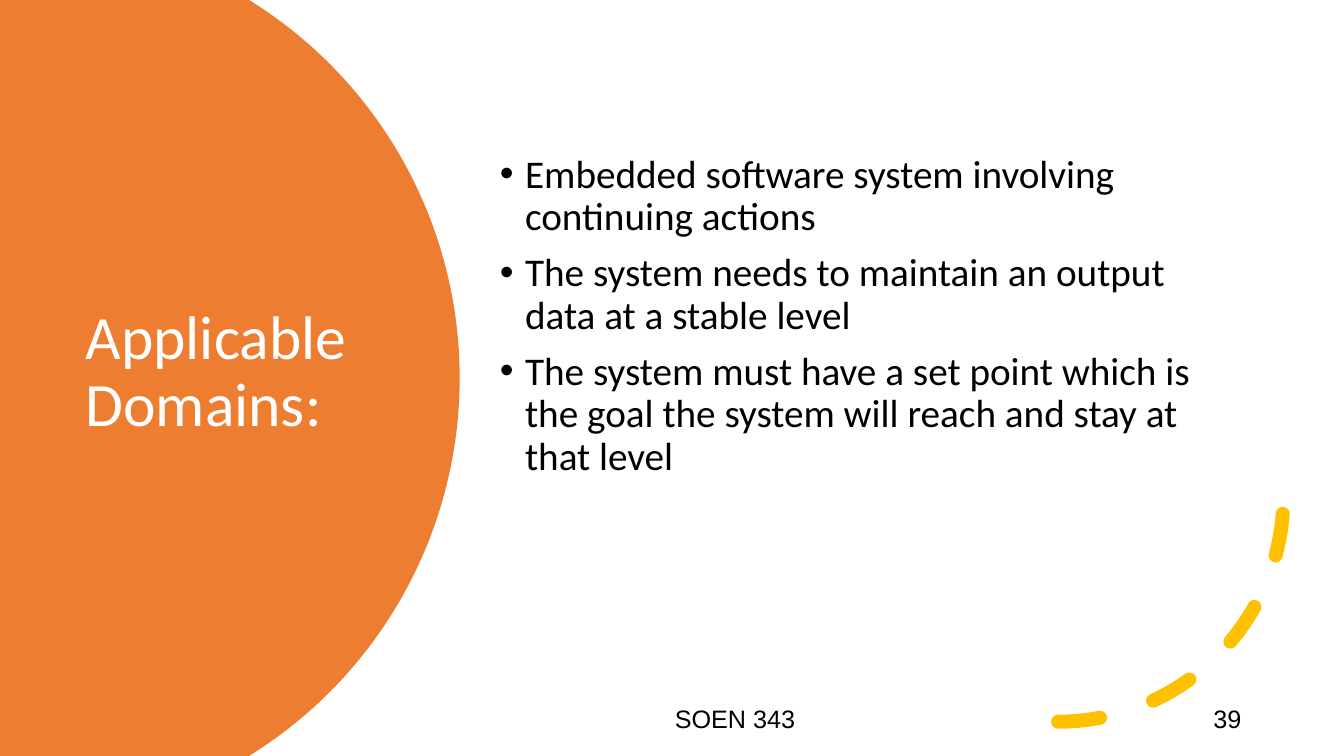
import math
import pptx
import pptx.util
import pptx.dml.color
import pptx.enum.dml
import pptx.enum.shapes
import pptx.enum.text
from lxml import etree

Inches, Pt = pptx.util.Inches, pptx.util.Pt
RGBColor = pptx.dml.color.RGBColor
ALIGN = pptx.enum.text.PP_ALIGN

# Content
TITLE = "Applicable Domains:"
POINTS = [
    "Embedded software system involving continuing actions",
    "The system needs to maintain an output data at a stable level",
    "The system must have a set point which is the goal the system "
    "will reach and stay at that level",
]
FOOTER = "SOEN 343"
NUMBER = "39"

# Style and measures
ORANGE = RGBColor(0xED, 0x7D, 0x31)
GOLD = RGBColor(0xFF, 0xC0, 0x00)
WHITE = RGBColor(0xFF, 0xFF, 0xFF)
BLACK = RGBColor(0, 0, 0)
WIDE, HIGH = 13.33, 7.5
CENTER, RADIUS, STEPS = 0.15, 4.41, 90
FOOT, FOOT_H = 6.95, 0.4

deck = pptx.Presentation()
deck.slide_width, deck.slide_height = Inches(WIDE), Inches(HIGH)
slide = deck.slides.add_slide(deck.slide_layouts[6])
shapes = slide.shapes


def add_text(box, lines, size, color, font="Calibri", align=ALIGN.LEFT):
    frame = shapes.add_textbox(*map(Inches, box)).text_frame
    frame.word_wrap = True
    frame.vertical_anchor = pptx.enum.text.MSO_ANCHOR.MIDDLE
    frame.text = "\n".join(lines)
    for para in frame.paragraphs:
        para.alignment = align
        para.line_spacing = 0.9
        for run in para.runs:
            run.font.name = font
            run.font.size = Pt(size)
            run.font.color.rgb = color
    return frame


def add_bullet(para):
    props = para._p.get_or_add_pPr()
    props.set("marL", str(Inches(0.25)))
    props.set("indent", str(Inches(-0.25)))
    for tag, key, value in (("buFont", "typeface", "Arial"),
                            ("buChar", "char", "•")):
        node = etree.SubElement(props, pptx.oxml.ns.qn("a:" + tag))
        node.set(key, value)


# Orange disc, cut off by the slide edges
mid = HIGH / 2
reach = math.asin(mid / RADIUS)
angles = [reach * (2 * i / STEPS - 1) for i in range(STEPS + 1)]
curve = [(CENTER + RADIUS * math.cos(a), mid + RADIUS * math.sin(a))
         for a in angles]
build = shapes.build_freeform(0, 0)
build.add_line_segments(
    [(Inches(x), Inches(y)) for x, y in curve + [(0, HIGH)]], close=True)
disc = build.convert_to_shape()
disc.shadow.inherit = False
disc.fill.solid()
disc.fill.fore_color.rgb = ORANGE
disc.line.fill.background()

# Title
add_text((0.75, 1.26, 3.5, 4.88), [TITLE], 44, WHITE)

# Dashed arc, flipped into the lower right corner
arc = shapes.add_shape(pptx.enum.shapes.MSO_SHAPE.ARC,
                       *map(Inches, (8.26, 2.69, 4.47, 4.47)))
arc.shadow.inherit = False
arc.fill.background()
arc.line.color.rgb = GOLD
arc.line.width = Pt(10)
arc.line.dash_style = pptx.enum.dml.MSO_LINE.DASH
arc.line._ln.set("cap", "rnd")
arc._element.spPr.xfrm.set("flipV", "1")

# Bullet points, lifted above the middle by a deep bottom margin
body = add_text((4.86, 0.65, 7.55, 6.11), POINTS, 28, BLACK)
body.margin_bottom = Inches(1.18)
for para in body.paragraphs:
    para.space_before = Pt(10)
    add_bullet(para)

# Footer and slide number
for left, width, words, align in ((4.42, 5.74, FOOTER, ALIGN.CENTER),
                                  (10.43, 1.98, NUMBER, ALIGN.RIGHT)):
    foot = add_text((left, FOOT, width, FOOT_H), [words], 18, BLACK,
                    "Arial", align)
    foot.paragraphs[0].space_after = Pt(6)

deck.save("out.pptx")
